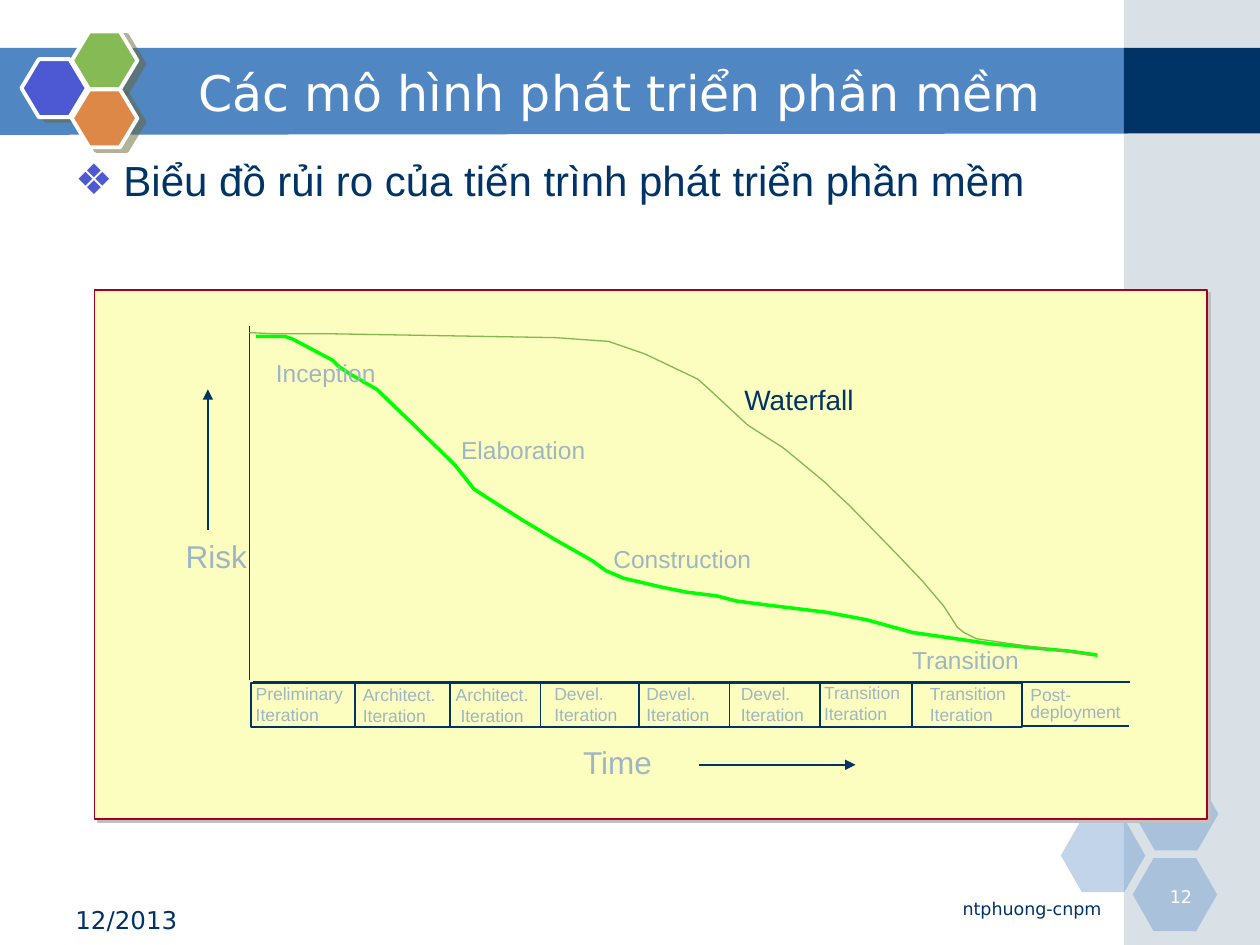
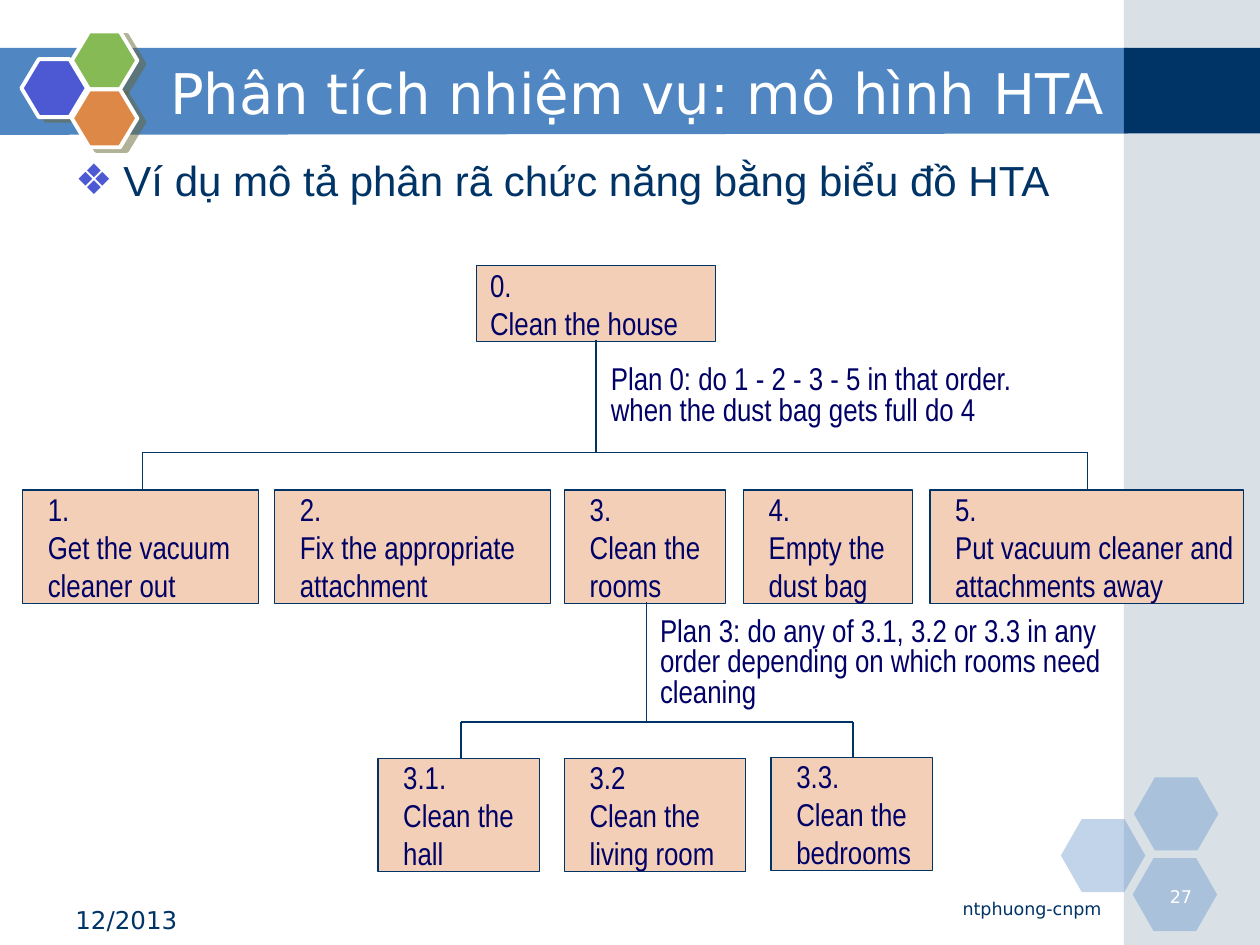
"""Two lecture slides: a risk chart of development processes and an HTA task tree."""
from dataclasses import dataclass
from typing import NamedTuple

from lxml import etree
from pptx import Presentation
from pptx.dml.color import RGBColor
from pptx.enum import shapes, text
from pptx.oxml.ns import qn
from pptx import util as u

LEFT, CENTER, RIGHT = text.PP_ALIGN.LEFT, text.PP_ALIGN.CENTER, text.PP_ALIGN.RIGHT
RECT, HEXAGON = shapes.MSO_SHAPE.RECTANGLE, shapes.MSO_SHAPE.HEXAGON


@dataclass(frozen=True)
class Theme:
    """Colours, fonts and type sizes shared by the slides."""
    navy: str = "003366"
    ink: str = "000066"
    band: str = "5086C2"
    mist: str = "A0B5C4"
    white: str = "FFFFFF"
    violet: str = "4C59D2"
    leaf: str = "85BA54"
    orange: str = "DE8848"
    panel: str = "FBFEBE"
    panel_edge: str = "A50021"
    panel_shadow: str = "C0C0C0"
    logo_shadow: str = "666633"
    peach: str = "F2CFB6"
    iterative: str = "00FF00"
    waterfall: str = "82B850"
    head_font: str = "DejaVu Sans"
    body_font: str = "Arial"
    task_font: str = "Arial Narrow"
    body: int = 24
    large: int = 18
    medium: int = 16
    small: int = 14
    tiny: int = 10


class Box(NamedTuple):
    """A rectangle in inches."""
    left: float
    top: float
    width: float
    height: float


class Shadow(NamedTuple):
    """An outer shadow: colour, opacity in percent, distance in points, angle in degrees."""
    color: str
    alpha: int
    distance: float
    angle: int


class Label(NamedTuple):
    """A chart label with its box, size, colour and horizontal and vertical insets."""
    words: str
    box: Box
    size: int
    color: str
    inset: tuple[float, float] = (0.1, 0.05)
    align: text.PP_ALIGN = LEFT
    spacing: float | None = None


class Task(NamedTuple):
    """One box of the task tree."""
    number: str
    name: str
    box: Box
    indent: float = 0.2


T = Theme()


def place(shape, box: Box) -> None:
    """Move and size a shape to a box."""
    shape.left, shape.top, shape.width, shape.height = map(u.Inches, box)


def add_xml(parent, tag: str, **attributes):
    """Append a drawing element with attributes and return it."""
    child = etree.SubElement(parent, qn(tag))
    for key, value in attributes.items():
        child.set(key, str(value))
    return child


def write(frame, words: str, *, size: float, color: str, font: str = T.body_font,
          align=LEFT, anchor=text.MSO_ANCHOR.TOP, inset=(0.1, 0.05), wrap: bool = True,
          grow: bool = False, spacing: float | None = None, before: float = 0) -> None:
    """Fill a text frame, one paragraph per line of words."""
    frame.text = words
    frame.word_wrap = wrap
    frame.auto_size = text.MSO_AUTO_SIZE.SHAPE_TO_FIT_TEXT if grow else text.MSO_AUTO_SIZE.NONE
    frame.vertical_anchor = anchor
    frame.margin_left = u.Inches(inset[0])
    frame.margin_right = u.Inches(inset[2] if len(inset) > 2 else inset[0])
    frame.margin_top = frame.margin_bottom = u.Inches(inset[1])
    for paragraph in frame.paragraphs:
        paragraph.alignment = align
        paragraph.space_before = u.Pt(before)
        if spacing:
            paragraph.line_spacing = spacing
        for run in paragraph.runs:
            run.font.name, run.font.size = font, u.Pt(size)
            run.font.color.rgb = RGBColor.from_string(color)


def add_label(slide, words: str, box: Box, **style) -> None:
    """Add a text box."""
    write(slide.shapes.add_textbox(*map(u.Inches, box)).text_frame, words, **style)


def paint(shape, fill: str | None = None, line: str | None = None, weight: float = 1,
          alpha: int | None = None, shadow: Shadow | None = None) -> None:
    """Set fill, outline, opacity and shadow; what is not given is switched off."""
    shape.shadow.inherit = False
    if fill:
        shape.fill.solid()
        shape.fill.fore_color.rgb = RGBColor.from_string(fill)
        if alpha:
            color = shape.element.spPr.find(qn("a:solidFill"))[0]
            add_xml(color, "a:alpha", val=alpha * 1000)
    else:
        shape.fill.background()
    if line:
        shape.line.color.rgb = RGBColor.from_string(line)
        shape.line.width = u.Pt(weight)
    else:
        shape.line.fill.background()
    if shadow:
        effects = shape.element.spPr.find(qn("a:effectLst"))
        outer = add_xml(effects, "a:outerShdw", blurRad=0, dist=u.Pt(shadow.distance),
                        dir=shadow.angle * 60000, algn="ctr", rotWithShape=0)
        color = add_xml(outer, "a:srgbClr", val=shadow.color)
        add_xml(color, "a:alpha", val=shadow.alpha * 1000)


def add_preset(slide, kind, box: Box, adjust: float | None = None, **style):
    """Add a painted preset shape."""
    shape = slide.shapes.add_shape(kind, *map(u.Inches, box))
    if adjust:
        shape.adjustments[0] = adjust
    paint(shape, **style)
    return shape


def add_outline(slide, points: list[tuple[float, float]], closed: bool = False, **style) -> None:
    """Add a painted freeform through points in inches."""
    start, *rest = [(u.Inches(x), u.Inches(y)) for x, y in points]
    builder = slide.shapes.build_freeform(*start, scale=1.0)
    builder.add_line_segments(rest, close=closed)
    paint(builder.convert_to_shape(), **style)


def add_line(slide, x1: float, y1: float, x2: float, y2: float,
             weight: float = 1, arrow: bool = False) -> None:
    """Add a straight navy line, with an arrowhead at its end if asked."""
    line = slide.shapes.add_connector(
        shapes.MSO_CONNECTOR.STRAIGHT, *map(u.Inches, (x1, y1, x2, y2)))
    line.line.color.rgb = RGBColor.from_string(T.navy)
    line.line.width = u.Pt(weight)
    properties = line.element.spPr
    if arrow:
        add_xml(properties.find(qn("a:ln")), "a:tailEnd", type="triangle")
    add_xml(properties, "a:effectLst")


def decorate_layout(slide, layout) -> None:
    """Draw the band, side strip and hexagons, and move them to the layout."""
    add_outline(slide, [(-0.01, 0.38), (8.95, 0.38), (8.95, 1.06), (-0.01, 1.07)],
                closed=True, fill=T.band)
    add_preset(slide, RECT, Box(8.92, 0, 1.08, 7.5), fill=T.mist, alpha=40)
    add_preset(slide, RECT, Box(8.92, 0.38, 1.08, 0.68), fill=T.navy)
    for left, top in [(8.42, 6.5), (9, 6.17), (8.99, 6.81)]:
        add_preset(slide, HEXAGON, Box(left, top, 0.67, 0.58), 0.286, fill=T.band, alpha=35)
    for left, top, color in [(0.17, 0.47, T.violet), (0.57, 0.25, T.leaf), (0.57, 0.71, T.orange)]:
        add_preset(slide, HEXAGON, Box(left, top, 0.52, 0.46), 0.3, fill=color, line=T.white,
                   weight=2.25, shadow=Shadow(T.logo_shadow, 50, 4.5, 27))
    ornaments = [shape for shape in slide.shapes if not shape.is_placeholder]
    for number, ornament in enumerate(ornaments, start=101):
        ornament.element.nvSpPr.cNvPr.set("id", str(number))
        layout.shapes.element.append(ornament.element)


def fill_frame(slide, title: str, point: str, number: int, title_width: float,
               title_size: int, title_align) -> None:
    """Fill the title, the bulleted point and the footer line."""
    heading, body = slide.placeholders
    place(heading, Box(1.25, 0.42, title_width, 0.62))
    write(heading.text_frame, title, size=title_size, color=T.white, font=T.head_font,
          align=title_align, anchor=text.MSO_ANCHOR.MIDDLE)
    place(body, Box(0.5, 1.18, 9, 5.74))
    write(body.text_frame, point, size=T.body, color=T.navy, before=0.2 * T.body)
    bullet = body.text_frame.paragraphs[0]._p.get_or_add_pPr()
    bullet.set("marL", str(u.Inches(0.38)))
    bullet.set("indent", str(u.Inches(-0.38)))
    add_xml(add_xml(bullet, "a:buClr"), "a:srgbClr", val=T.violet)
    add_xml(bullet, "a:buFont", typeface=T.body_font)
    add_xml(bullet, "a:buChar", char="❖")
    for words, box, size, color, align in [
        ("12/2013", Box(0.5, 7.13, 2.33, 0.27), T.small, T.navy, LEFT),
        ("ntphuong-cnpm", Box(5.67, 7.08, 3.17, 0.26), T.tiny, T.navy, RIGHT),
        (str(number), Box(9.06, 6.98, 0.5, 0.25), T.tiny, T.white, RIGHT),
    ]:
        add_label(slide, words, box, size=size, color=color, font=T.head_font, align=align)


ITERATIVE_CURVE = [
    (2.03, 2.67), (2.26, 2.67), (2.32, 2.69), (2.64, 2.86), (2.69, 2.91), (2.78, 2.97),
    (2.99, 3.09), (3.24, 3.33), (3.61, 3.69), (3.76, 3.88), (3.85, 3.94), (4.15, 4.13),
    (4.25, 4.19), (4.4, 4.28), (4.63, 4.41), (4.7, 4.45), (4.81, 4.53), (4.95, 4.59),
    (5.25, 4.66), (5.45, 4.7), (5.69, 4.73), (5.84, 4.77), (6.07, 4.8), (6.56, 4.86),
    (6.88, 4.92), (7.06, 4.97), (7.24, 5.02), (7.45, 5.05), (7.86, 5.11), (8.5, 5.17),
    (8.64, 5.19), (8.71, 5.2)]
WATERFALL_CURVE = [
    (1.98, 2.64), (2.19, 2.65), (2.66, 2.65), (4.41, 2.68), (4.83, 2.71), (5.12, 2.81),
    (5.54, 3.01), (5.64, 3.1), (5.93, 3.37), (5.99, 3.41), (6.21, 3.55), (6.26, 3.59),
    (6.55, 3.83), (6.61, 3.89), (6.74, 4.01), (7.11, 4.39), (7.32, 4.61), (7.49, 4.81),
    (7.6, 4.98), (7.65, 5.02), (7.75, 5.07), (8.65, 5.2)]
ITERATIONS = [
    ("Preliminary", 1.96, 5.39, 0.93, LEFT), ("Architect.", 2.81, 5.4, 0.81, LEFT),
    ("Architect.", 3.5, 5.4, 0.81, CENTER), ("Devel.", 4.33, 5.39, 0.75, LEFT),
    ("Devel.", 5.06, 5.39, 0.75, LEFT), ("Devel.", 5.81, 5.39, 0.75, LEFT),
    ("Transition", 6.47, 5.38, 0.85, LEFT), ("Transition", 7.31, 5.39, 0.85, LEFT)]
RISK_LABELS = [
    Label("Risk", Box(1.05, 4.12, 1.18, 0.6), T.large, T.mist, (0.27, 0.14), RIGHT),
    Label("Transition", Box(7.14, 5.07, 1.47, 0.33), T.small, T.mist),
    Label("Inception", Box(2.11, 2.8, 1.09, 0.31), T.small, T.mist, (0.08, 0.04)),
    Label("Elaboration", Box(3.58, 3.41, 1.27, 0.31), T.small, T.mist, (0.08, 0.04)),
    Label("Construction", Box(4.77, 4.27, 1.44, 0.33), T.small, T.mist),
    Label("Waterfall", Box(5.81, 2.99, 1.22, 0.36), T.medium, T.navy),
    Label("Time", Box(4.53, 5.85, 0.91, 0.43), T.large, T.mist),
    Label("Post-\ndeployment", Box(8.08, 5.41, 1.04, 0.36), T.tiny, T.mist, spacing=0.8),
    *[Label(f"{phase}\nIteration", Box(left, top, width, 0.4), T.tiny, T.mist, (0.07, 0.03), align)
      for phase, left, top, width, align in ITERATIONS]]


def draw_risk_chart(slide) -> None:
    """Draw risk against time for the iterative and the waterfall process."""
    add_preset(slide, RECT, Box(0.75, 2.3, 8.83, 4.2), fill=T.panel, line=T.panel_edge,
               shadow=Shadow(T.panel_shadow, 100, 2.8, 45))
    add_line(slide, 1.98, 2.59, 1.98, 5.4)
    add_line(slide, 2.01, 5.41, 8.97, 5.41)
    add_outline(slide, ITERATIVE_CURVE, line=T.iterative, weight=2)
    add_preset(slide, RECT, Box(1.99, 5.42, 6.12, 0.35), line=T.navy)
    for divider in (2.82, 3.57, 4.29, 5.07, 5.79, 6.51, 7.24):
        add_line(slide, divider, 5.42, divider, 5.77)
    add_line(slide, 8.12, 5.76, 8.96, 5.76)
    add_outline(slide, WATERFALL_CURVE, line=T.waterfall, weight=0.75)
    for label in RISK_LABELS:
        add_label(slide, label.words, label.box, size=label.size, color=label.color,
                  inset=label.inset, align=label.align, spacing=label.spacing,
                  wrap=label.words == "Transition", grow=True)
    add_line(slide, 5.55, 6.07, 6.79, 6.07, arrow=True)
    add_line(slide, 1.65, 4.21, 1.65, 3.09, weight=1.5, arrow=True)


TASKS = [
    Task("0.", "Clean the house", Box(3.78, 2.11, 1.9, 0.6), indent=0.11),
    Task("1.", "Get the vacuum cleaner out", Box(0.18, 3.89, 1.87, 0.9)),
    Task("2.", "Fix the appropriate attachment", Box(2.18, 3.89, 2.19, 0.9)),
    Task("3.", "Clean the rooms", Box(4.48, 3.89, 1.28, 0.9)),
    Task("4.", "Empty the dust bag", Box(5.9, 3.89, 1.34, 0.9)),
    Task("5.", "Put vacuum cleaner and attachments away", Box(7.38, 3.89, 2.49, 0.9)),
    Task("3.1.", "Clean the hall", Box(3, 6.02, 1.28, 0.9)),
    Task("3.2", "Clean the living room", Box(4.48, 6.02, 1.44, 0.9)),
    Task("3.3.", "Clean the bedrooms", Box(6.12, 6.01, 1.28, 0.9))]
PLANS = [
    ("Plan 0: do 1 - 2 - 3 - 5 in that order. when the dust bag gets full do 4",
     Box(4.75, 2.86, 3.8, 0.59)),
    ("Plan 3: do any of 3.1, 3.2 or 3.3 in any order depending on which rooms need cleaning",
     Box(5.14, 4.86, 3.8, 0.83))]


def draw_branch(slide, stem: float, top: float, bar: float, left: float, right: float) -> None:
    """Draw a stem down to a bar with a drop at each end."""
    add_line(slide, stem, top, stem, bar, weight=0.75)
    add_line(slide, left, bar, right, bar, weight=0.75)
    for end in (left, right):
        add_line(slide, end, bar, end, bar + 0.29, weight=0.75)


def draw_task_tree(slide) -> None:
    """Draw the task boxes, their branches and plans."""
    style = dict(size=T.large, color=T.ink, font=T.task_font)
    for task in TASKS:
        shape = add_preset(slide, RECT, task.box, fill=T.peach, line=T.navy, weight=0.75)
        write(shape.text_frame, f"{task.number}\n{task.name}", inset=(task.indent, 0.05, 0),
              anchor=text.MSO_ANCHOR.MIDDLE, **style)
    draw_branch(slide, 4.73, 2.7, 3.59, 1.13, 8.63)
    draw_branch(slide, 5.13, 4.78, 5.73, 3.66, 6.77)
    for words, box in PLANS:
        add_label(slide, words, box, spacing=0.8, before=0.2 * T.large, grow=True, **style)


def main() -> None:
    """Build and save the slides."""
    deck = Presentation()
    deck.slide_width, deck.slide_height = u.Inches(10), u.Inches(7.5)
    layout = deck.slide_layouts[1]
    risk, tree = (deck.slides.add_slide(layout) for _ in range(2))
    decorate_layout(risk, layout)
    fill_frame(risk, "Các mô hình phát triển phần mềm",
               "Biểu đồ rủi ro của tiến trình phát triển phần mềm", 12, 7.33, 28, CENTER)
    draw_risk_chart(risk)
    fill_frame(tree, "Phân tích nhiệm vụ: mô hình HTA",
               "Ví dụ mô tả phân rã chức năng bằng biểu đồ HTA", 27, 8.75, 32, LEFT)
    draw_task_tree(tree)
    deck.save("out.pptx")


main()
